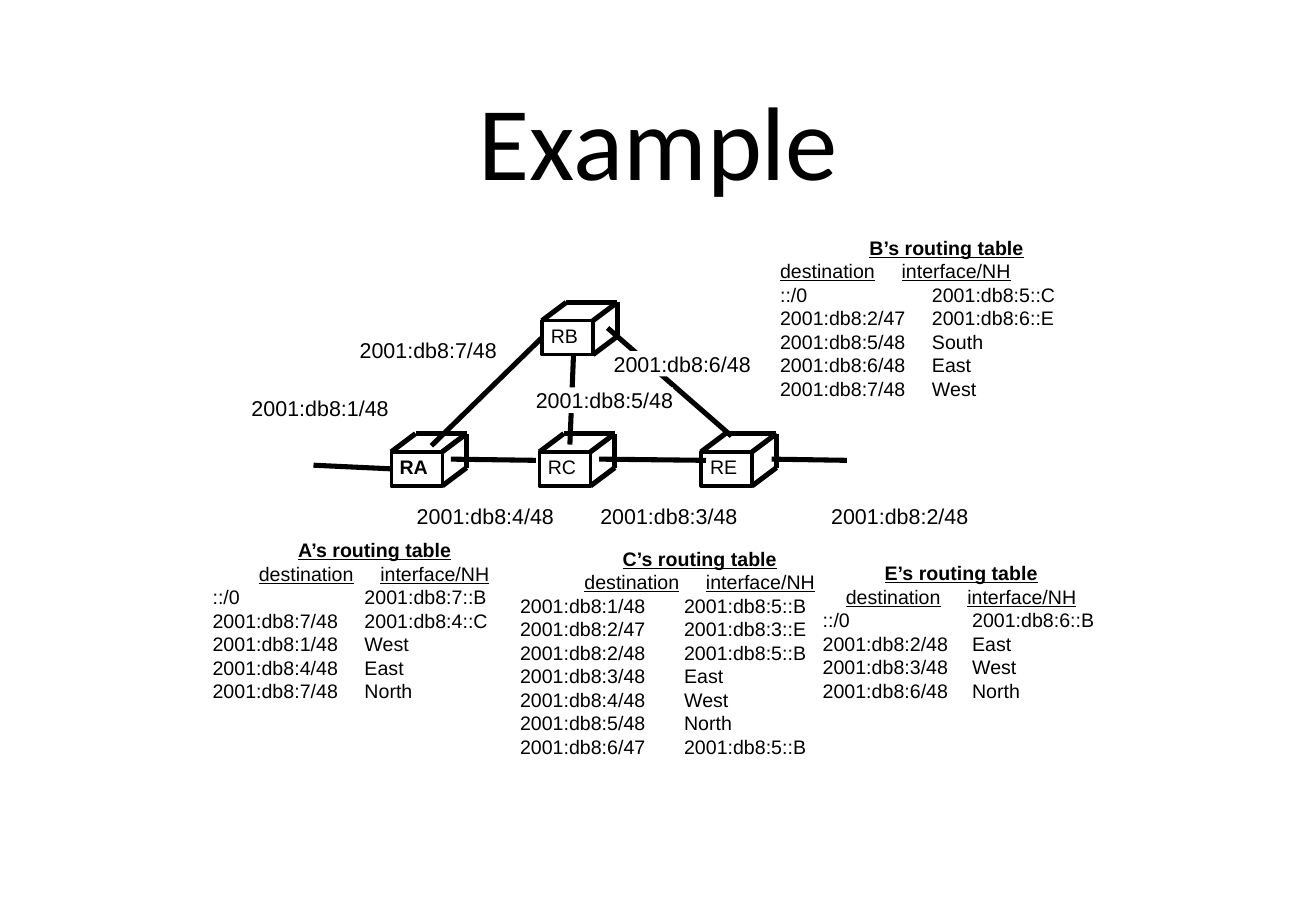
from dataclasses import dataclass
from typing import Optional

from lxml import etree
from pptx import Presentation
from pptx.dml.color import RGBColor
from pptx.enum.shapes import MSO_CONNECTOR, MSO_SHAPE
from pptx.enum.text import MSO_ANCHOR, MSO_AUTO_SIZE, PP_ALIGN
from pptx.oxml.ns import qn
from pptx.util import Pt

STRAIGHT = MSO_CONNECTOR.STRAIGHT
RECTANGLE = MSO_SHAPE.RECTANGLE
MIDDLE, TOP = MSO_ANCHOR.MIDDLE, MSO_ANCHOR.TOP
NO_FIT = MSO_AUTO_SIZE.NONE
CENTER, LEFT = PP_ALIGN.CENTER, PP_ALIGN.LEFT

EMU_PER_PX = 9144
TITLE_ONLY = 5
BLACK, WHITE = "000000", "FFFFFF"
LEFT_SIDE = 1
FACE_WIDTH, FACE_HEIGHT = 42, 28
DEPTH_X, DEPTH_Y = 20, 15
LABEL_WIDTH, LABEL_HEIGHT = 113, 21
HEADING_WIDTH, HEADING_STEP = 190, 100
TABLE_LINE = 13.93


@dataclass
class Router:
    name: str
    x: int
    y: int
    bold: bool = False


@dataclass
class Link:
    x1: int
    y1: int
    x2: int
    y2: int
    joins: Optional[str] = None


@dataclass
class Label:
    text: str
    x: int
    y: int
    fill: Optional[str] = None


@dataclass
class RoutingTable:
    router: str
    x: int
    y: int
    width: int
    height: int
    hop_x: int
    heading_x: int
    routes: list[tuple[str, str]]


def centered_heading(width: int) -> int:
    return (width - HEADING_WIDTH) // 2


ROUTERS = [
    Router("RA", 322, 372, bold=True),
    Router("RB", 446, 264),
    Router("RC", 444, 372),
    Router("RE", 577, 372),
]
LINKS = [
    Link(355, 367, 445, 279, joins="RB"),
    Link(371, 378, 441, 379),
    Link(493, 378, 581, 379),
    Link(500, 270, 602, 359),
    Link(258, 383, 320, 384, joins="RA"),
    Link(635, 378, 697, 379),
    Link(469, 366, 472, 292),
]
LABELS = [
    Label("2001:db8:1/48", 207, 325),
    Label("2001:db8:7/48", 296, 278),
    Label("2001:db8:6/48", 505, 289, WHITE),
    Label("2001:db8:5/48", 441, 319, WHITE),
    Label("2001:db8:4/48", 343, 414),
    Label("2001:db8:3/48", 494, 414),
    Label("2001:db8:2/48", 684, 414),
]
TABLES = [
    RoutingTable("A", 175, 443, 267, 158, 125, centered_heading(267), [
        ("::/0", "2001:db8:7::B"), ("2001:db8:7/48", "2001:db8:4::C"),
        ("2001:db8:1/48", "West"), ("2001:db8:4/48", "East"),
        ("2001:db8:7/48", "North")]),
    RoutingTable("B", 642, 194, 274, 139, 125, 0, [
        ("::/0", "2001:db8:5::C"), ("2001:db8:2/47", "2001:db8:6::E"),
        ("2001:db8:5/48", "South"), ("2001:db8:6/48", "East"),
        ("2001:db8:7/48", "West")]),
    RoutingTable("C", 428, 450, 296, 185, 135, centered_heading(296), [
        ("2001:db8:1/48", "2001:db8:5::B"), ("2001:db8:2/47", "2001:db8:3::E"),
        ("2001:db8:2/48", "2001:db8:5::B"), ("2001:db8:3/48", "East"),
        ("2001:db8:4/48", "West"), ("2001:db8:5/48", "North"),
        ("2001:db8:6/47", "2001:db8:5::B")]),
    RoutingTable("E", 677, 462, 228, 158, 123, centered_heading(228), [
        ("::/0", "2001:db8:6::B"), ("2001:db8:2/48", "East"),
        ("2001:db8:3/48", "West"), ("2001:db8:6/48", "North")]),
]


def px(length: int) -> int:
    return length * EMU_PER_PX


def color(value: str) -> RGBColor:
    return RGBColor.from_string(value)


def set_frame(frame, anchor, insets=(0, 0, 0, 0), wrap: bool = True) -> None:
    frame.auto_size = NO_FIT
    frame.word_wrap = wrap
    frame.vertical_anchor = anchor
    (frame.margin_left, frame.margin_top,
     frame.margin_right, frame.margin_bottom) = map(px, insets)


def set_font(para, size: float, name: str = "Arial", bold: bool = False) -> None:
    font = para.font
    font.name, font.size, font.bold = name, Pt(size), bold
    font.color.rgb = color(BLACK)


def set_tabs(para, stops: list[int]) -> None:
    tabs = etree.SubElement(para._p.get_or_add_pPr(), qn("a:tabLst"))
    for stop in stops:
        etree.SubElement(tabs, qn("a:tab"), pos=str(px(stop)), algn="l")


def draw_line(shapes, x1: int, y1: int, x2: int, y2: int):
    line = shapes.add_connector(STRAIGHT, px(x1), px(y1), px(x2), px(y2))
    line.line.color.rgb = color(BLACK)
    line.line.width = Pt(3)
    etree.SubElement(line._element.spPr, qn("a:effectLst"))
    return line


def draw_router(page, router: Router):
    shapes = page.shapes.add_group_shape().shapes
    left, top = router.x, router.y
    right, bottom = left + FACE_WIDTH, top + FACE_HEIGHT
    face = shapes.add_shape(RECTANGLE, px(left), px(top),
                            px(FACE_WIDTH), px(FACE_HEIGHT))
    face.shadow.inherit = False
    face.fill.background()
    face.line.color.rgb = color(BLACK)
    face.line.width = Pt(2)
    set_frame(face.text_frame, MIDDLE, (0, 0, 5, 3))
    para = face.text_frame.paragraphs[0]
    para.text = router.name
    para.alignment = CENTER
    set_font(para, 11.6, bold=router.bold)
    for x, y in ((left, top), (right, top), (right, bottom)):
        draw_line(shapes, x, y, x + DEPTH_X, y - DEPTH_Y)
    corner_x, corner_y = right + DEPTH_X, top - DEPTH_Y
    draw_line(shapes, left + DEPTH_X, corner_y, corner_x, corner_y)
    draw_line(shapes, corner_x, corner_y, corner_x, bottom - DEPTH_Y)
    return face


def draw_label(page, label: Label) -> None:
    box = page.shapes.add_textbox(px(label.x), px(label.y),
                                  px(LABEL_WIDTH), px(LABEL_HEIGHT))
    if label.fill:
        box.fill.solid()
        box.fill.fore_color.rgb = color(label.fill)
    set_frame(box.text_frame, MIDDLE, wrap=False)
    para = box.text_frame.paragraphs[0]
    para.text = label.text
    para.alignment = CENTER
    set_font(para, 12.7)


def draw_routing_table(page, table: RoutingTable) -> None:
    box = page.shapes.add_textbox(px(table.x), px(table.y),
                                  px(table.width), px(table.height))
    frame = box.text_frame
    set_frame(frame, TOP)
    caption = frame.paragraphs[0]
    caption.text = f"{table.router}’s routing table"
    caption.alignment = CENTER
    set_font(caption, 11.6, bold=True)
    caption.font.underline = True

    heading = frame.add_paragraph()
    set_tabs(heading, [stop for stop in
                       (table.heading_x, table.heading_x + HEADING_STEP) if stop])
    if table.heading_x:
        heading.add_run().text = "\t"
    span = heading.add_run()
    span.text = "destination\tinterface/NH"
    span.font.underline = True
    set_font(heading, 11.6)

    for destination, hop in table.routes:
        para = frame.add_paragraph()
        para.text = f"{destination}\t{hop}"
        set_tabs(para, [table.hop_x])
        set_font(para, 11.6)
    for para in frame.paragraphs:
        para.line_spacing = Pt(TABLE_LINE)
    for para in frame.paragraphs[1:]:
        para.alignment = LEFT


def main() -> None:
    deck = Presentation()
    deck.slide_width, deck.slide_height = px(1083), px(750)
    page = deck.slides.add_slide(deck.slide_layouts[TITLE_ONLY])

    title = page.shapes.title
    title.left, title.top, title.width, title.height = map(px, (106, 20, 872, 188))
    set_frame(title.text_frame, MIDDLE, (4, 4, 4, 4))
    para = title.text_frame.paragraphs[0]
    para.text = "Example"
    para.alignment = CENTER
    set_font(para, 62, "Calibri")

    for table in TABLES:
        draw_routing_table(page, table)
    faces = {router.name: draw_router(page, router) for router in ROUTERS}
    for link in LINKS:
        line = draw_line(page.shapes, link.x1, link.y1, link.x2, link.y2)
        if link.joins:
            line.end_connect(faces[link.joins], LEFT_SIDE)
    for label in LABELS:
        draw_label(page, label)
    deck.save("out.pptx")


if __name__ == "__main__":
    main()
